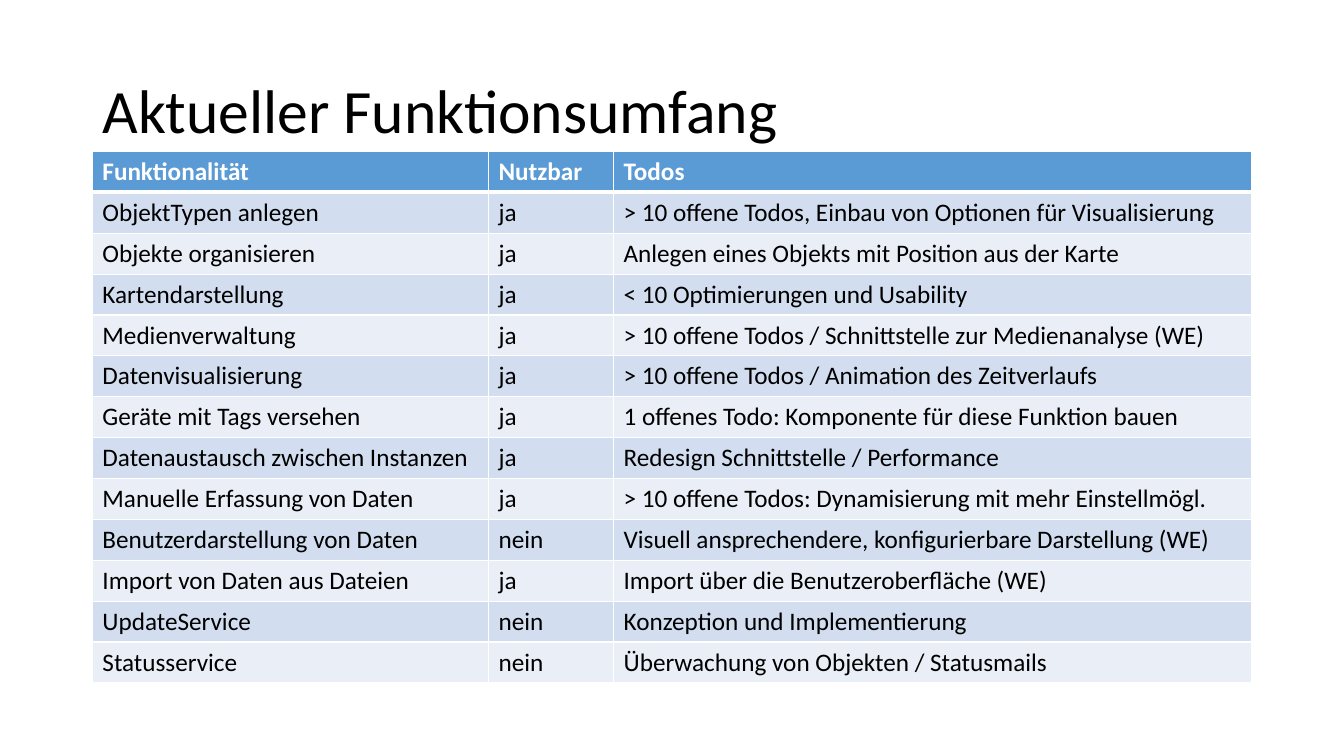
from lxml import etree
from pptx import Presentation
from pptx.dml.color import RGBColor
from pptx.enum.text import MSO_ANCHOR, PP_ALIGN
from pptx.oxml.ns import qn
from pptx.util import Pt

LEFT = PP_ALIGN.LEFT
TOP = MSO_ANCHOR.TOP
MIDDLE = MSO_ANCHOR.MIDDLE

HEAD = ("Funktionalität", "Nutzbar", "Todos")
ROWS = [
    ("ObjektTypen anlegen", "ja", "> 10 offene Todos, Einbau von Optionen für Visualisierung"),
    ("Objekte organisieren", "ja", "Anlegen eines Objekts mit Position aus der Karte"),
    ("Kartendarstellung", "ja", "< 10 Optimierungen und Usability"),
    ("Medienverwaltung", "ja", "> 10 offene Todos / Schnittstelle zur Medienanalyse (WE)"),
    ("Datenvisualisierung", "ja", "> 10 offene Todos / Animation des Zeitverlaufs"),
    ("Geräte mit Tags versehen", "ja", "1 offenes Todo: Komponente für diese Funktion bauen"),
    ("Datenaustausch zwischen Instanzen", "ja", "Redesign Schnittstelle / Performance"),
    ("Manuelle Erfassung von Daten", "ja", "> 10 offene Todos: Dynamisierung mit mehr Einstellmögl."),
    ("Benutzerdarstellung von Daten", "nein", "Visuell ansprechendere, konfigurierbare Darstellung (WE)"),
    ("Import von Daten aus Dateien", "ja", "Import über die Benutzeroberfläche (WE)"),
    ("UpdateService", "nein", "Konzeption und Implementierung"),
    ("Statusservice", "nein", "Überwachung von Objekten / Statusmails"),
]


def color(code):
    return RGBColor.from_string(code)


class Deck:
    font = "Calibri"
    white = "FFFFFF"
    black = "000000"
    blue = "5B9BD5"
    bands = ("D2DEEF", "EAEFF7")

    def __init__(self, wide, high):
        self.file = Presentation()
        self.file.slide_width = Pt(wide)
        self.file.slide_height = Pt(high)
        self.slide = self.file.slides.add_slide(self.file.slide_layouts[5])

    def style(self, frame, size, code, bold=False):
        for par in frame.paragraphs:
            par.alignment = LEFT
            for run in par.runs:
                run.font.name = self.font
                run.font.size = Pt(size)
                run.font.bold = bold
                run.font.color.rgb = color(code)

    def title(self, text, left, top, wide, high):
        box = self.slide.shapes.title
        box.left, box.top, box.width, box.height = Pt(left), Pt(top), Pt(wide), Pt(high)
        frame = box.text_frame
        frame.text = text
        frame.word_wrap = True
        frame.vertical_anchor = MIDDLE
        frame.paragraphs[0].line_spacing = 0.9
        self.style(frame, 44, self.black)

    def border(self, cell, top, base):
        props = cell._tc.get_or_add_tcPr()
        sides = (("L", 1), ("R", 1), ("T", top), ("B", base))
        for spot, (side, width) in enumerate(sides):
            line = etree.Element(qn("a:ln" + side), w=str(Pt(width)))
            fill = etree.SubElement(line, qn("a:solidFill"))
            etree.SubElement(fill, qn("a:srgbClr"), val=self.white)
            props.insert(spot, line)

    def cell(self, cell, text, row):
        head = row == 0
        cell.text = text
        cell.vertical_anchor = TOP
        cell.fill.solid()
        cell.fill.fore_color.rgb = color(self.blue if head else self.bands[(row - 1) % 2])
        self.style(cell.text_frame, 18, self.white if head else self.black, head)
        self.border(cell, 3 if row == 1 else 1, 3 if head else 1)

    def table(self, data, left, top, cols, high):
        shape = self.slide.shapes.add_table(
            len(data), len(cols), Pt(left), Pt(top), Pt(sum(cols)), Pt(high * len(data)))
        grid = shape.table
        for col, wide in zip(grid.columns, cols):
            col.width = Pt(wide)
        for row, texts in enumerate(data):
            grid.rows[row].height = Pt(high)
            for col, text in enumerate(texts):
                self.cell(grid.cell(row, col), text, row)

    def save(self):
        self.file.save("out.pptx")


def main():
    deck = Deck(960, 540)
    deck.title("Aktueller Funktionsumfang", 66, 28.75, 828, 104.38)
    deck.table([HEAD] + ROWS, 66, 108.2, (283, 89.3, 455.7), 29.2)
    deck.save()


if __name__ == "__main__":
    main()
